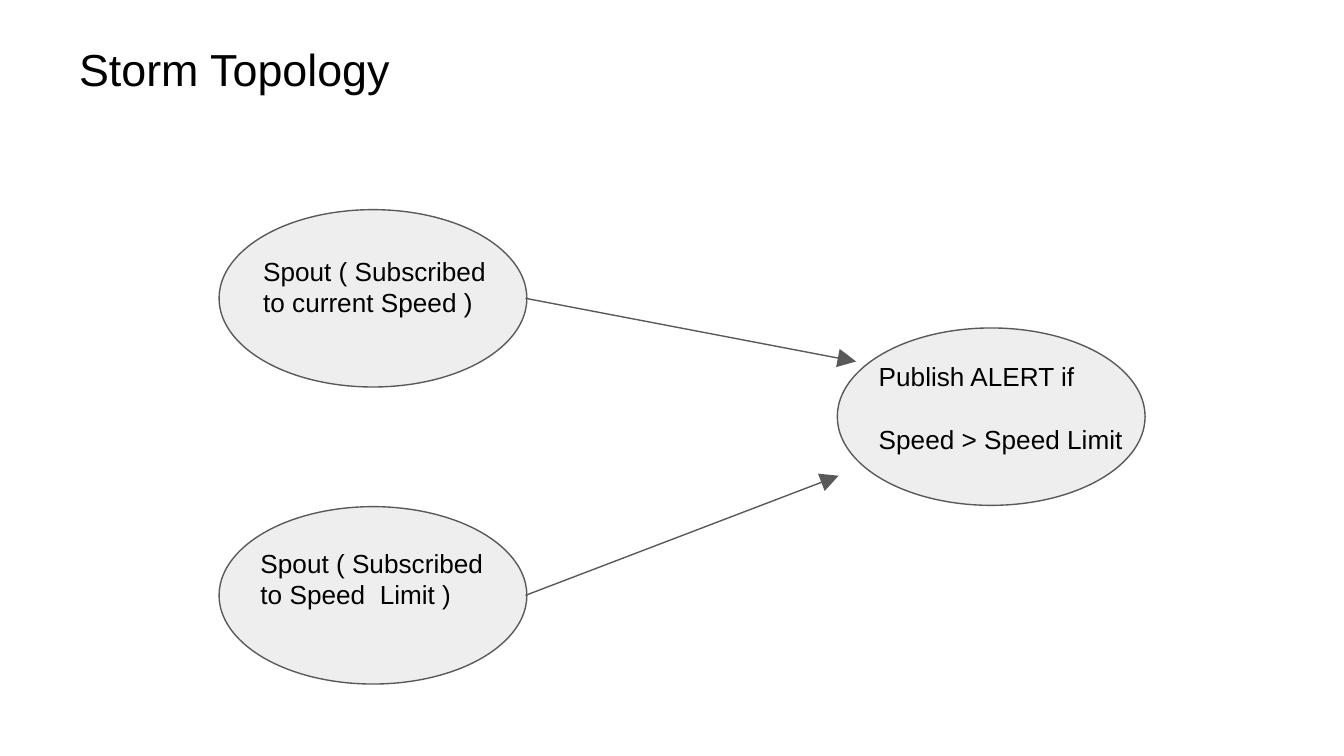
from lxml.etree import SubElement
from pptx import Presentation
from pptx.dml.color import RGBColor
from pptx.enum.shapes import MSO_CONNECTOR, MSO_SHAPE
from pptx.enum.text import MSO_ANCHOR, PP_ALIGN
from pptx.oxml.ns import qn
from pptx.util import Inches, Pt

BLACK = RGBColor(0x00, 0x00, 0x00)
LIGHT_GRAY = RGBColor(0xEE, 0xEE, 0xEE)
DARK_GRAY = RGBColor(0x59, 0x59, 0x59)

NODE_WIDTH, NODE_HEIGHT = 2.29, 1.32

# Widescreen slide, 16:9
presentation = Presentation()
presentation.slide_width = Inches(10)
presentation.slide_height = Inches(10 * 9 / 16)
slide = presentation.slides.add_slide(presentation.slide_layouts[6])


def add_text(text, left, top, width, height, size=14, gap=0):
    box = slide.shapes.add_textbox(
        Inches(left), Inches(top), Inches(width), Inches(height)
    )
    frame = box.text_frame
    frame.word_wrap = True
    frame.vertical_anchor = MSO_ANCHOR.TOP
    frame.margin_left = frame.margin_right = Inches(0.1)
    frame.margin_top = frame.margin_bottom = Inches(0.1)
    frame.text = text
    for index, paragraph in enumerate(frame.paragraphs):
        paragraph.alignment = PP_ALIGN.LEFT
        paragraph.line_spacing = 1.0
        paragraph.space_before = Pt(gap if index else 0)
        for run in paragraph.runs:
            run.font.name = "Arial"
            run.font.size = Pt(size)
            run.font.color.rgb = BLACK


# Title
add_text("Storm Topology", 0.49, 0.21, 6.99, 0.69, size=24)

# Topology nodes: two spouts and the alert publisher
for left, top in [(1.63, 1.56), (1.63, 3.77), (6.23, 2.44)]:
    node = slide.shapes.add_shape(
        MSO_SHAPE.OVAL,
        Inches(left), Inches(top), Inches(NODE_WIDTH), Inches(NODE_HEIGHT),
    )
    node.shadow.inherit = False
    node.fill.solid()
    node.fill.fore_color.rgb = LIGHT_GRAY
    node.line.color.rgb = DARK_GRAY
    node.line.width = Pt(0.75)

# Arrows from the spouts to the publisher
for start_x, start_y, end_x, end_y in [(3.91, 2.22, 6.37, 2.69), (3.91, 4.43, 6.24, 3.54)]:
    arrow = slide.shapes.add_connector(
        MSO_CONNECTOR.STRAIGHT,
        Inches(start_x), Inches(start_y), Inches(end_x), Inches(end_y),
    )
    arrow.line.color.rgb = DARK_GRAY
    arrow.line.width = Pt(0.75)
    SubElement(
        arrow.line._get_or_add_ln(), qn("a:tailEnd"), type="triangle", w="lg", len="lg"
    )
    SubElement(arrow._element.spPr, qn("a:effectLst"))

# Node labels
add_text("Spout ( Subscribed to current Speed )", 1.86, 1.8, 1.86, 1.18)
add_text("Spout ( Subscribed to Speed  Limit )", 1.84, 3.97, 1.86, 1.18)
add_text("Publish ALERT if\nSpeed > Speed Limit", 6.44, 2.58, 2.33, 1.18, gap=17)

presentation.save("out.pptx")
